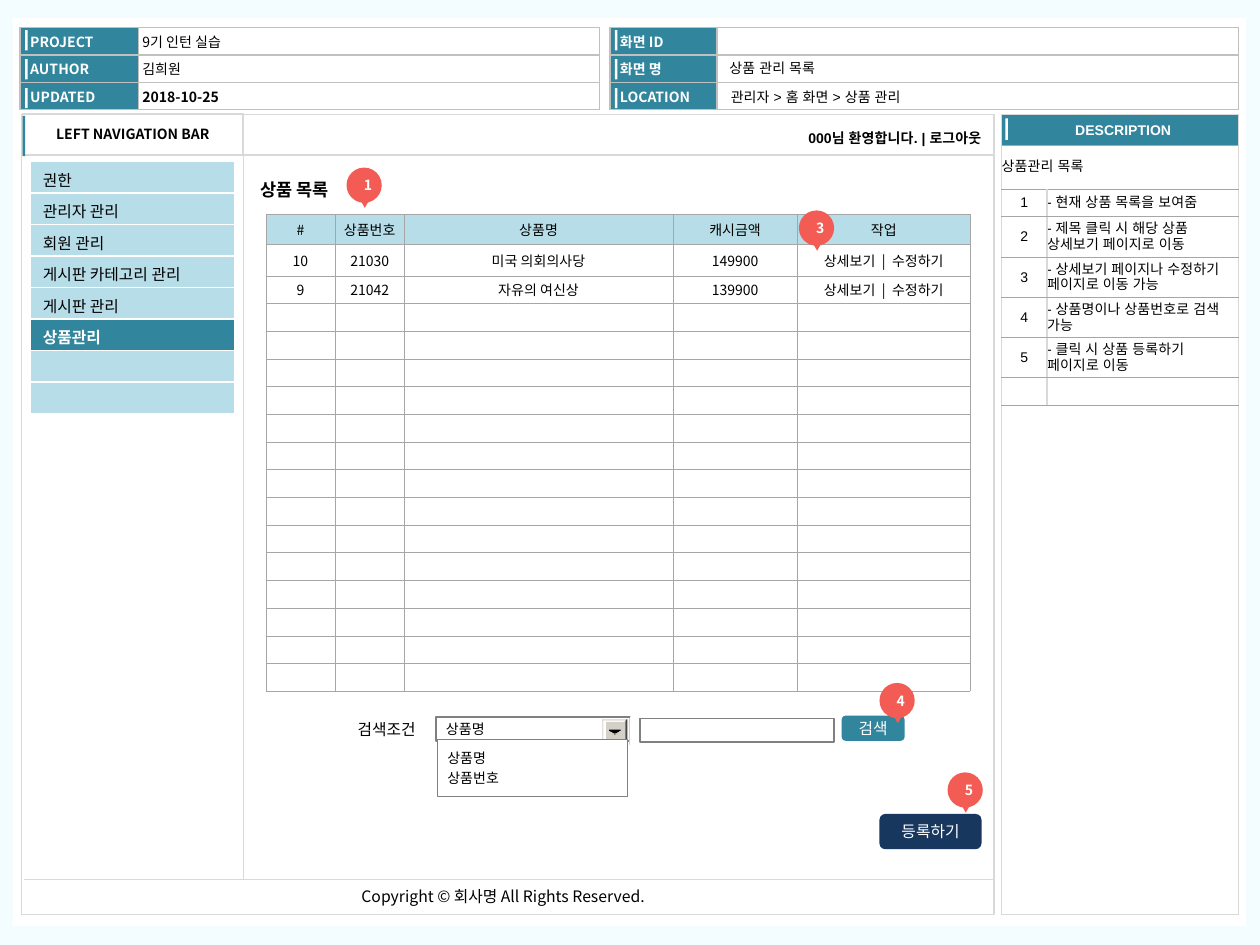
import pptx
import pptx.util
import pptx.dml.color
import pptx.enum.shapes
import pptx.enum.text
import pptx.oxml
import pptx.oxml.ns

Inches, Pt = pptx.util.Inches, pptx.util.Pt
SHAPE = pptx.enum.shapes.MSO_SHAPE
ALIGN = pptx.enum.text.PP_ALIGN
ANCHOR = pptx.enum.text.MSO_ANCHOR

NOTO, ARIAL = "Noto Sans CJK KR", "Arial"
COLORS = {
    "page": "F3FCFF", "white": "FFFFFF", "black": "000000", "teal": "31859C",
    "pale": "B7DEE8", "navy": "17375E", "coral": "F25C54", "rule": "D9D9D9",
    "silver": "C0C0C0", "grid": "A6A6A6", "gray": "808080", "dark": "404040",
    "button": "D4D0C8",
}


def rgb(name):
    return pptx.dml.color.RGBColor.from_string(COLORS[name])


def write(frame, text, size=8, font=NOTO, color="black", bold=False,
          align=ALIGN.LEFT, space=0):
    """Fill a text frame, one paragraph per line of text."""
    for index, line in enumerate(text.split("\n")):
        paragraph = frame.paragraphs[0] if index == 0 else frame.add_paragraph()
        for key, value in {"alignment": align, "space_before": Pt(space)}.items():
            setattr(paragraph, key, value)
        run = paragraph.add_run()
        run.text = line
        for key, value in {"size": Pt(size), "name": font, "bold": bold}.items():
            setattr(run.font, key, value)
        run.font.color.rgb = rgb(color)
        pptx.oxml.parse_xml(f'<a:ea {pptx.oxml.ns.nsdecls("a")} typeface="{font}"/>')
        east_asian = run.font._element.makeelement(
            pptx.oxml.ns.qn("a:ea"), {"typeface": font})
        run.font._element.find(pptx.oxml.ns.qn("a:latin")).addnext(east_asian)


def set_frame(frame, inset=(0, 0, 0, 0), anchor=ANCHOR.MIDDLE, wrap=True):
    sides = ("margin_left", "margin_top", "margin_right", "margin_bottom")
    settings = dict(zip(sides, map(Inches, inset)))
    settings.update(vertical_anchor=anchor, word_wrap=wrap)
    for key, value in settings.items():
        setattr(frame, key, value)


def add_block(shapes, box, fill=None, line=None, kind=SHAPE.RECTANGLE, text="",
              inset=(0, 0, 0, 0), wrap=True, **style):
    block = shapes.add_shape(kind, *map(Inches, box))
    block.shadow.inherit = False
    if fill:
        block.fill.solid()
        block.fill.fore_color.rgb = rgb(fill)
    else:
        block.fill.background()
    if line:
        block.line.color.rgb = rgb(line)
        block.line.width = Pt(0.75)
    else:
        block.line.fill.background()
    if text:
        set_frame(block.text_frame, inset, wrap=wrap)
        write(block.text_frame, text, **style)
    return block


def add_label(shapes, box, text, inset=(0.08, 0.04, 0.08, 0.04), wrap=True, **style):
    label = shapes.add_textbox(*map(Inches, box))
    set_frame(label.text_frame, inset, ANCHOR.TOP, wrap)
    write(label.text_frame, text, **style)


def add_rule(shapes, start, end, width):
    rule = shapes.add_connector(pptx.enum.shapes.MSO_CONNECTOR.STRAIGHT,
                                *map(Inches, start + end))
    rule.line.color.rgb = rgb("rule")
    rule.line.width = Pt(width)
    rule._element.spPr.append(
        pptx.oxml.parse_xml(f'<a:effectLst {pptx.oxml.ns.nsdecls("a")}/>'))


def set_borders(cell, borders):
    """Draw cell edges from {side: (color, points)}, sides being L, R, T, B."""
    properties = cell._tc.get_or_add_tcPr()
    edges = [pptx.oxml.parse_xml(
        f'<a:ln{side} {pptx.oxml.ns.nsdecls("a")} w="{Pt(borders[side][1])}"><a:solidFill>'
        f'<a:srgbClr val="{COLORS[borders[side][0]]}"/></a:solidFill></a:ln{side}>')
        for side in "LRTB"]
    for position, edge in enumerate(edges):
        properties.insert(position, edge)


def add_grid(shapes, box, columns, rows, content, borders):
    """Table whose columns and rows share the box; content(r, c) gives text, fill, style."""
    grid = shapes.add_table(len(rows), len(columns), *map(Inches, box)).table
    grid.first_row = grid.horz_banding = False
    for column, share in zip(grid.columns, columns):
        column.width = Inches(box[2] * share / sum(columns))
    for r, share in enumerate(rows):
        grid.rows[r].height = Inches(box[3] * share / sum(rows))
        for c in range(len(columns)):
            cell = grid.cell(r, c)
            text, fill, style = content(r, c)
            style = dict(style)
            inset = style.pop("inset", (0, 0, 0, 0))
            sides = ("margin_left", "margin_top", "margin_right", "margin_bottom")
            for side, value in zip(sides, inset):
                setattr(cell, side, Inches(value))
            cell.vertical_anchor = ANCHOR.MIDDLE
            cell.fill.solid()
            cell.fill.fore_color.rgb = rgb(fill)
            set_borders(cell, borders)
            if text:
                write(cell.text_frame, text, **style)
            else:
                cell.text_frame.paragraphs[0]._p.get_or_add_endParaRPr().set("sz", "800")
    return grid


def all_sides(color, width):
    return dict.fromkeys("LRTB", (color, width))


def add_header(shapes, box, columns, entries):
    def content(r, c):
        if c == 0:
            return entries[r][0], "teal", {"color": "white", "bold": True,
                                           "inset": (0.08, 0, 0.03, 0)}
        return entries[r][1], "white", {"bold": r == 2, "inset": (0.03, 0, 0.03, 0)}

    add_grid(shapes, box, columns, [1] * 3, content, all_sides("silver", 1))
    for r in range(3):
        add_block(shapes, (box[0] + 0.04, box[1] + 0.02 + 0.23 * r, 0.02, 0.16), "white")


def add_description(shapes, box, heading, notes):
    x, y, width, height = box
    frame = all_sides("rule", 1)
    add_grid(shapes, box, [1], [0.25, height - 0.25],
             lambda r, c: (("DESCRIPTION", "teal", {"font": ARIAL, "color": "white", "bold": True,
                                                    "align": ALIGN.CENTER, "inset": (0.05, 0, 0, 0)})
                           if r == 0 else ("", "white", {})), frame)
    add_block(shapes, (x + 0.03, y + 0.03, 0.02, 0.17), "white")
    cells = [(heading, "")] + [(str(n), note) for n, note in enumerate(notes, 1)] + [("", "")]

    def content(r, c):
        centred = c == 0 and r > 0
        return cells[r][c], "white", {"font": ARIAL,
                                      "align": ALIGN.CENTER if centred else ALIGN.LEFT}

    rows = [0.35, 0.22] + [0.32] * 4 + [0.22]
    grid = add_grid(shapes, (x, y + 0.24, width, sum(rows)), [0.36, 1.52], rows, content,
                    {**frame, "T": ("grid", 0.5), "B": ("grid", 0.5)})
    grid.cell(0, 0).merge(grid.cell(0, 1))


def add_navigation(shapes, box, items, current):
    def content(r, c):
        chosen = items[r] == current
        return items[r], "teal" if chosen else "pale", {
            "size": 9, "bold": chosen, "color": "white" if chosen else "black",
            "inset": (0.1, 0.04, 0.1, 0)}

    add_grid(shapes, box, [1], [1] * len(items), content, all_sides("white", 1))


def add_products(shapes, box, records):
    def content(r, c):
        return (records[r][c] if r < len(records) else "",
                "white" if r else "pale", {"align": ALIGN.CENTER})

    add_grid(shapes, box, [0.55, 0.55, 2.13, 0.99, 1.37], [0.24, 0.25] + [0.22] * 15,
             content, all_sides("grid", 0.25))


def add_callout(shapes, x, y, number):
    parts = shapes.add_group_shape().shapes
    add_block(parts, (x, y, 0.28, 0.28), "coral", kind=SHAPE.OVAL, text=number, wrap=False,
              inset=(0.06, 0, 0, 0), color="white", bold=True, align=ALIGN.CENTER)
    add_block(parts, (x + 0.1, y + 0.24, 0.09, 0.08), "coral",
              kind=SHAPE.ISOSCELES_TRIANGLE).rotation = 180


def add_select(shapes, box, options):
    x, y, width, height = box
    add_block(shapes, box, "white", "gray", text=options[0], inset=(0.08, 0, 0.08, 0))
    parts = shapes.add_group_shape().shapes
    left, top = x + width - 0.22, y + 0.02
    add_block(parts, (left + 0.22, top - 0.02, 0.01, 0.24), "white")
    add_block(parts, (left + 0.21, top - 0.01, 0.01, 0.21), "button")
    for depth, (light, shade) in enumerate([("button", "dark"), ("white", "gray")]):
        near, side = 0.01 * depth, 0.19 - 0.02 * depth
        add_block(parts, (left + near, top + near, 0.01, side), light)
        add_block(parts, (left + near, top + near, side, 0.01), light)
        add_block(parts, (left + near + side, top + near, 0.01, side), shade)
        add_block(parts, (left + near, top + near + side, side, 0.01), shade)
    add_block(parts, (left + 0.03, top + 0.02, 0.15, 0.15), "button")
    for step, bar in enumerate((0.09, 0.07, 0.04, 0.01)):
        add_block(parts, (left + 0.1 - bar / 2, top + 0.08 + 0.01 * step, bar, 0.01), "black")
    add_block(shapes, (x + 0.01, y + height - 0.01, width - 0.03, 0.45), "white", "gray",
              text="\n".join(options), inset=(0.08, 0, 0.08, 0), space=2)


def place_title(slide, box, text):
    title = slide.shapes.title
    for key, value in zip(("left", "top", "width", "height"), box):
        setattr(title, key, Inches(value))
    set_frame(title.text_frame, (0.1, 0.05, 0.1, 0.05), ANCHOR.MIDDLE, False)
    write(title.text_frame, text, size=10, bold=True)
    slide.shapes._spTree.append(title._element)


def main():
    deck = pptx.Presentation()
    deck.slide_width, deck.slide_height = Inches(10), Inches(7.5)
    slide = deck.slides.add_slide(deck.slide_layouts[5])
    slide.background.fill.solid()
    slide.background.fill.fore_color.rgb = rgb("page")
    shapes = slide.shapes

    add_block(shapes, (0.1, 0.14, 9.79, 7.21), "white")
    add_header(shapes, (0.16, 0.22, 4.6, 0.65), [0.94, 3.66],
               [("PROJECT", "9기 인턴 실습"), ("AUTHOR", "김희원"), ("UPDATED", "2018-10-25")])
    add_header(shapes, (4.84, 0.22, 4.99, 0.65), [0.85, 4.14],
               [("화면 ID", ""), ("화면 명", ""), ("LOCATION", "")])
    add_label(shapes, (5.72, 0.66, 2.9, 0.2), "관리자 > 홈 화면 > 상품 관리", font=ARIAL)
    add_label(shapes, (5.71, 0.43, 2.9, 0.2), "상품 관리 목록", font=ARIAL)

    add_block(shapes, (0.17, 0.91, 7.72, 6.35), line="rule")
    add_description(shapes, (7.95, 0.91, 1.88, 6.35), "상품관리 목록", [
        "- 현재 상품 목록을 보여줌", "- 제목 클릭 시 해당 상품 상세보기 페이지로 이동",
        "- 상세보기 페이지나 수정하기 페이지로 이동 가능", "- 상품명이나 상품번호로 검색 가능",
        "- 클릭 시 상품 등록하기 페이지로 이동"])
    add_rule(shapes, (0.19, 6.98), (7.89, 6.98), 1)
    add_label(shapes, (2.77, 6.99, 2.52, 0.25), "Copyright © 회사명 All Rights Reserved.",
              inset=(0.1, 0.05, 0.1, 0.05), wrap=False, size=9)
    add_block(shapes, (0.18, 0.9, 1.75, 0.33), line="rule", text="LEFT NAVIGATION BAR",
              bold=True, align=ALIGN.CENTER)
    add_block(shapes, (0.18, 0.92, 0.02, 0.32), "teal")
    add_rule(shapes, (1.93, 0.91), (1.93, 6.98), 0.75)
    add_rule(shapes, (1.93, 1.23), (7.89, 1.23), 1)
    add_label(shapes, (5.29, 0.99, 2.58, 0.22), "000님 환영합니다. | 로그아웃",
              font=ARIAL, bold=True, align=ALIGN.RIGHT)
    add_navigation(shapes, (0.24, 1.28, 1.62, 2), [
        "권한", "관리자 관리", "회원 관리", "게시판 카테고리 관리", "게시판 관리", "상품관리",
        "", ""], "상품관리")

    place_title(slide, (1.97, 1.37, 0.81, 0.27), "상품 목록")
    actions = "상세보기  |  수정하기"
    add_products(shapes, (2.11, 1.7, 5.59, 3.79), [
        ("#", "상품번호", "상품명", "캐시금액", "작업"),
        ("10", "21030", "미국 의회의사당", "149900", actions),
        ("9", "21042", "자유의 여신상", "139900", actions)])
    add_label(shapes, (2.74, 5.66, 0.71, 0.25), "검색조건", inset=(0.1, 0.05, 0.1, 0.05),
              wrap=False, size=9)
    add_select(shapes, (3.46, 5.69, 1.54, 0.19), ["상품명", "상품번호"])
    add_block(shapes, (5.08, 5.7, 1.54, 0.19), "white", "gray")
    for box, fill, caption in [((6.68, 5.68, 0.5, 0.2), "teal", "검색"),
                               ((6.98, 6.46, 0.81, 0.28), "navy", "등록하기")]:
        add_block(shapes, box, fill, kind=SHAPE.ROUNDED_RECTANGLE, text=caption, size=9,
                  color="white", align=ALIGN.CENTER)
    for x, y, number in [(2.75, 1.33, "1"), (6.34, 1.67, "3"),
                         (6.98, 5.42, "4"), (7.52, 6.13, "5")]:
        add_callout(shapes, x, y, number)
    deck.save("out.pptx")


if __name__ == "__main__":
    main()
